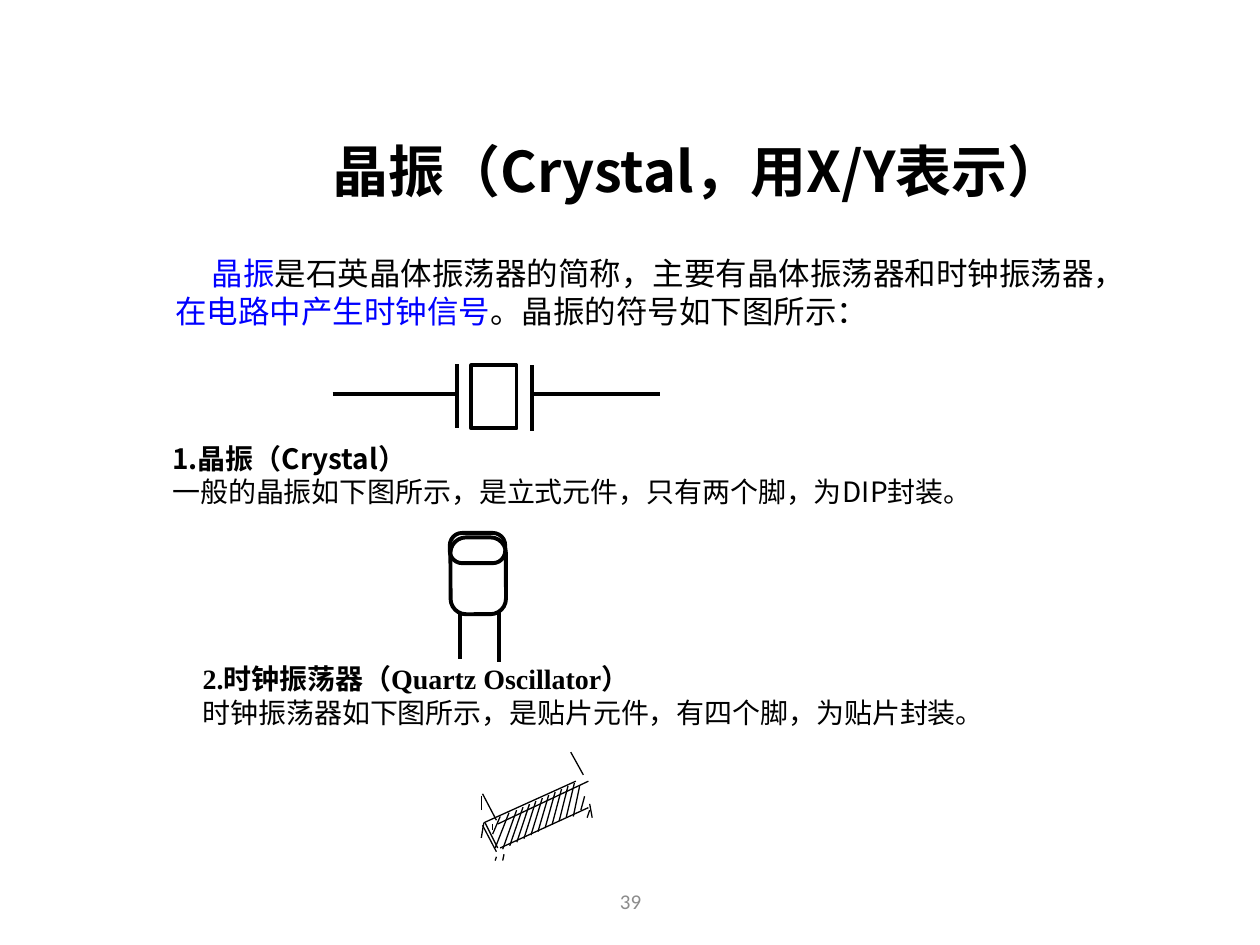
from lxml import etree
from pptx import Presentation
from pptx.dml.color import RGBColor
from pptx.enum.shapes import MSO_CONNECTOR, MSO_SHAPE
from pptx.enum.text import MSO_ANCHOR, MSO_AUTO_SIZE, PP_ALIGN
from pptx.oxml.ns import qn
from pptx.util import Inches, Pt

STRAIGHT = MSO_CONNECTOR.STRAIGHT
RECT, ROUND = MSO_SHAPE.RECTANGLE, MSO_SHAPE.ROUNDED_RECTANGLE
TOP, MIDDLE = MSO_ANCHOR.TOP, MSO_ANCHOR.MIDDLE
GROW = MSO_AUTO_SIZE.SHAPE_TO_FIT_TEXT
LEFT, CENTER = PP_ALIGN.LEFT, PP_ALIGN.CENTER

COLORS = {"ink": "000000", "key": "0000FF", "page": "8C8C8C"}
HAN, SERIF, PLAIN = "Noto Sans CJK SC", "Times New Roman", "Calibri"

deck = Presentation()
deck.slide_width, deck.slide_height = Inches(10), Inches(7.5)
COLUMN, ROW = deck.slide_width // 1000, deck.slide_height // 750
slide = deck.slides.add_slide(deck.slide_layouts[1])
shapes = slide.shapes


def grid(a, b, c, d):
    return [round(a * COLUMN), round(b * ROW), round(c * COLUMN), round(d * ROW)]


def fill_text(holder, area, paragraphs, size, face, indent=29, align=LEFT, anchor=MIDDLE, wrap=True):
    holder.left, holder.top, holder.width, holder.height = grid(*area)
    frame = holder.text_frame
    frame_format = {"word_wrap": wrap, "auto_size": GROW, "vertical_anchor": anchor}
    for name, value in frame_format.items():
        setattr(frame, name, value)
    for index, pieces in enumerate(paragraphs):
        paragraph = frame.add_paragraph() if index else frame.paragraphs[0]
        paragraph_format = {"alignment": align, "line_spacing": Pt(size * 1.2),
                            "space_before": Pt(0), "space_after": Pt(0)}
        for name, value in paragraph_format.items():
            setattr(paragraph, name, value)
        properties = paragraph._p.get_or_add_pPr()
        properties.set("marL", "0")
        properties.set("indent", str(indent * COLUMN))
        etree.SubElement(properties, qn("a:buNone"))
        for words, color, bold in pieces:
            run = paragraph.add_run()
            run.text = words
            for name, value in {"size": Pt(size), "name": face, "bold": bold}.items():
                setattr(run.font, name, value)
            run.font.color.rgb = RGBColor.from_string(COLORS[color])
            etree.SubElement(run._r.get_or_add_rPr(), qn("a:ea"), typeface=HAN)


fill_text(shapes.title, (83, 103, 890, 63), [[("晶振（Crystal，用X/Y表示）", "ink", True)]],
          32, HAN, indent=52, align=CENTER, anchor=TOP)
introduction = [
    ("晶振", "key", False),
    ("是石英晶体振荡器的简称，主要有晶体振荡器和时钟振荡器，", "ink", False),
    ("在电路中产生时钟信号", "key", False),
    ("。晶振的符号如下图所示：", "ink", False),
]
fill_text(slide.placeholders[1], (129, 197, 796, 70), [introduction], 18, HAN)

sections = [
    ((98, 345, 683, 64), HAN, "1.晶振（Crystal）",
     "一般的晶振如下图所示，是立式元件，只有两个脚，为DIP封装。"),
    ((122, 520, 672, 64), SERIF, "2.时钟振荡器（Quartz Oscillator）",
     "时钟振荡器如下图所示，是贴片元件，有四个脚，为贴片封装。"),
]
for area, face, heading, detail in sections:
    fill_text(shapes.add_textbox(*grid(*area)), area,
              [[(heading, "ink", True)], [(detail, "ink", False)]], 16, face, wrap=False)

page_area = (342, 695, 317, 40)
fill_text(shapes.add_textbox(*grid(*page_area)), page_area, [[("39", "page", False)]],
          12, PLAIN, indent=0, align=CENTER)

symbol_leads = [(264, 313, 364, 313), (363, 289, 363, 340),
                (422, 290, 422, 342), (423, 313, 524, 313)]
can_pins = [(365, 486, 365, 523), (396, 486, 396, 525)]
chip_edges = [
    (393, 683, 394, 680), (470, 649, 468, 638), (384, 653, 457, 620), (397, 673, 467, 641),
    (385, 653, 395, 673), (383, 655, 394, 676), (399, 683, 400, 678), (466, 649, 468, 643),
    (382, 665, 384, 653), (383, 630, 394, 651), (453, 597, 463, 615), (395, 654, 467, 620),
    (391, 654, 391, 659), (382, 643, 382, 632),
]
chip_hatching = [(410 + 5.1 * i, 643 - 2.4 * i, 399 + 5.6 * i, 674 - 2.8 * i) for i in range(10)]
chip_hatching += [(397, 648, 391, 662), (404, 645, 393, 673),
                  (460, 624, 455, 648), (464, 632, 461, 643)]

drawings = [
    (2.25, [(RECT, (374, 290, 36, 50), 0, None)], symbol_leads),
    (2.25, [(ROUND, (349, 435, 61, 44), 89.9, 0.28), (ROUND, (357, 423, 44, 24), 0, 0.41)], can_pins),
    (0.75, [], chip_edges + chip_hatching),
]
for weight, outlines, strokes in drawings:
    drawing = shapes.add_group_shape().shapes
    parts = []
    for preset, area, turn, corner in outlines:
        body = drawing.add_shape(preset, *grid(*area))
        body.rotation = turn
        body.shadow.inherit = False
        body.fill.background()
        if corner:
            body.adjustments[0] = corner
        parts.append(body)
    for stroke in strokes:
        wire = drawing.add_connector(STRAIGHT, *grid(*stroke))
        etree.SubElement(wire._element.spPr, qn("a:effectLst"))
        parts.append(wire)
    for part in parts:
        part.line.width = Pt(weight)
        part.line.color.rgb = RGBColor.from_string(COLORS["ink"])

deck.save("out.pptx")
